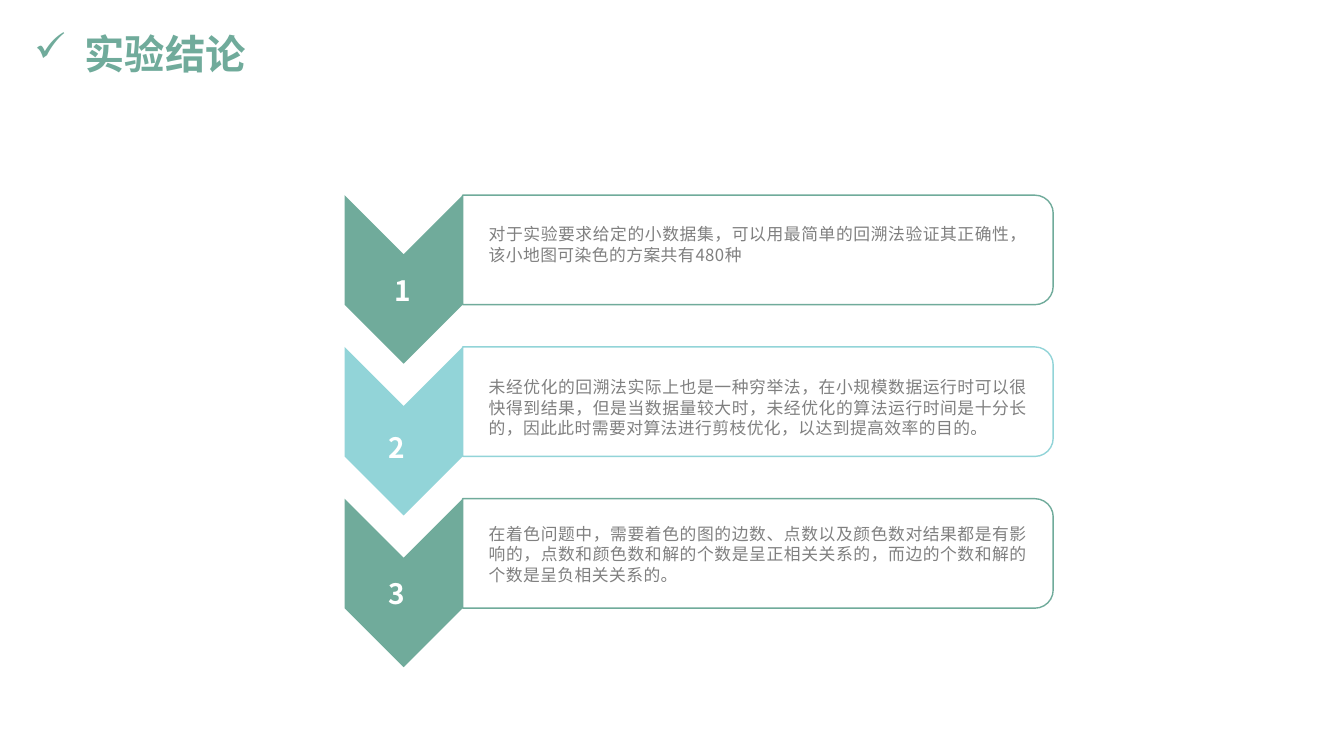
from lxml import etree
from pptx import Presentation
from pptx.dml.color import RGBColor
from pptx.enum import shapes, text
from pptx.oxml import ns
from pptx.util import Pt

TITLE = "实验结论"
GREEN, AQUA, GRAY, WHITE = "70AB9B", "92D4D8", "808080", "FFFFFF"
CJK = "Noto Sans CJK SC"

# number, colour, text, text top, number centre, number top
CONCLUSIONS = [
    ("1", GREEN, "对于实验要求给定的小数据集，可以用最简单的回溯法验证其正确性，"
     "该小地图可染色的方案共有480种", 156.2, 288, 191.5),
    ("2", AQUA, "未经优化的回溯法实际上也是一种穷举法，在小规模数据运行时可以很"
     "快得到结果，但是当数据量较大时，未经优化的算法运行时间是十分长的，"
     "因此此时需要对算法进行剪枝优化，以达到提高效率的目的。", 265.7, 283.6, 303.8),
    ("3", GREEN, "在着色问题中，需要着色的图的边数、点数以及颜色数对结果都是有影"
     "响的，点数和颜色数和解的个数是呈正相关关系的，而边的个数和解的"
     "个数是呈负相关关系的。", 370.1, 283.6, 408.2),
]
FIRST_TOP, PITCH = 139.4, 108.4
CHEVRON_LEFT, CHEVRON_WIDTH, CHEVRON_HEIGHT = 246.1, 84.4, 120.4
PANEL_WIDTH, PANEL_HEIGHT = 421.8, 78.2
PANEL_LEFT = CHEVRON_LEFT + CHEVRON_WIDTH
TEXT_LEFT, TEXT_WIDTH, NUMBER_WIDTH = 342, 399, 68

prs = Presentation()
prs.slide_width, prs.slide_height = Pt(960), Pt(540)
slide = prs.slides.add_slide(prs.slide_layouts[6])


def rgb(value):
    return RGBColor.from_string(value)


def add_turned(kind, left, top, width, height, fill, line=None):
    """Add a shape turned 90 degrees clockwise that covers the given box."""
    shift = (width - height) / 2
    shape = slide.shapes.add_shape(
        kind, Pt(left + shift), Pt(top - shift), Pt(height), Pt(width))
    shape.rotation = 90
    shape.shadow.inherit = False
    shape.fill.solid()
    shape.fill.fore_color.rgb = rgb(fill)
    if line:
        shape.line.color.rgb = rgb(line)
        shape.line.width = Pt(1)
    else:
        shape.line.fill.background()


def add_text(words, left, top, width, height, color, latin=CJK, spacing=None,
             align=text.PP_ALIGN.LEFT, **font):
    frame = slide.shapes.add_textbox(Pt(left), Pt(top), Pt(width), Pt(height)).text_frame
    frame.word_wrap = True
    paragraph = frame.paragraphs[0]
    paragraph.alignment = align
    paragraph.line_spacing = spacing
    run = paragraph.add_run()
    run.text = words
    run.font.color.rgb = rgb(color)
    for key, value in {"name": latin, **font}.items():
        setattr(run.font, key, value)
    east_asian = etree.SubElement(run.font._element, ns.qn("a:ea"))
    east_asian.set("typeface", CJK)
    return paragraph


title = add_text(TITLE, 17.3, 20.9, 828, 36.7, GREEN, "Montserrat", 0.9,
                 size=Pt(28.8), bold=True)
title_format = title._p.get_or_add_pPr()
title_format.set("marL", str(Pt(36)))
title_format.set("indent", str(Pt(-36)))
etree.SubElement(title_format, ns.qn("a:buChar")).set("char", "✓")

for row, (number, color, words, text_top, center, number_top) in enumerate(CONCLUSIONS):
    top = FIRST_TOP + row * PITCH
    add_turned(shapes.MSO_SHAPE.ROUND_2_SAME_RECTANGLE, PANEL_LEFT, top,
               PANEL_WIDTH, PANEL_HEIGHT, WHITE, color)
    add_turned(shapes.MSO_SHAPE.CHEVRON, CHEVRON_LEFT, top,
               CHEVRON_WIDTH, CHEVRON_HEIGHT, color)
    body = add_text(words, TEXT_LEFT, text_top, TEXT_WIDTH, 51, GRAY,
                    spacing=Pt(14.6), align=text.PP_ALIGN.JUSTIFY, size=Pt(12))
    body.runs[0].font._element.set("spc", "30")
    add_text(number, center - NUMBER_WIDTH / 2, number_top, NUMBER_WIDTH, 31.7, WHITE,
             spacing=Pt(24.4), align=text.PP_ALIGN.CENTER, size=Pt(20), bold=True)

prs.save("out.pptx")
